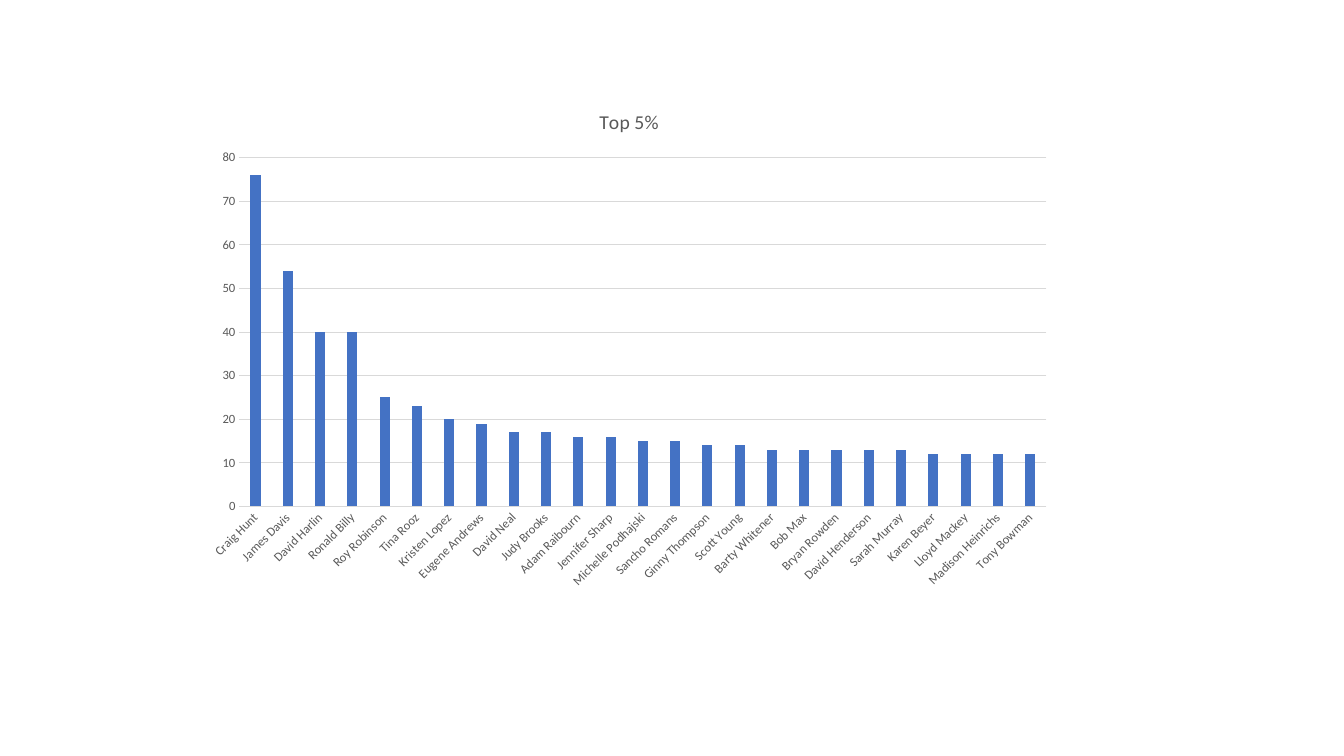
"""Build a slide with a column chart of the top 5% of people."""
from pptx import Presentation
from pptx.chart.data import CategoryChartData
from pptx.dml.color import RGBColor
from pptx.enum.chart import XL_CHART_TYPE, XL_TICK_MARK
from pptx.util import Inches, Pt

COLUMN = XL_CHART_TYPE.COLUMN_CLUSTERED
NO_TICK = XL_TICK_MARK.NONE
FONT = "Calibri"
COLORS = {"text": "595959", "line": "D9D9D9", "bar": "4472C4"}
SCORES = {
    "Craig Hunt": 76, "James Davis": 54, "David Harlin": 40, "Ronald Billy": 40,
    "Roy Robinson": 25, "Tina Rooz": 23, "Kristen Lopez": 20, "Eugene Andrews": 19,
    "David Neal": 17, "Judy Brooks": 17, "Adam Raibourn": 16, "Jennifer Sharp": 16,
    "Michelle Podhajski": 15, "Sancho Romans": 15, "Ginny Thompson": 14,
    "Scott Young": 14, "Barty Whitener": 13, "Bob Max": 13, "Bryan Rowden": 13,
    "David Henderson": 13, "Sarah Murray": 13, "Karen Beyer": 12,
    "Lloyd Mackey": 12, "Madison Heinrichs": 12, "Tony Bowman": 12,
}


def style_font(font, size):
    font.name = FONT
    font.size = Pt(size)
    font.bold = False
    font.color.rgb = RGBColor.from_string(COLORS["text"])


def style_line(line):
    line.color.rgb = RGBColor.from_string(COLORS["line"])
    line.width = Pt(0.75)


prs = Presentation()
prs.slide_width, prs.slide_height = Inches(13.33), Inches(7.5)
s = prs.slides.add_slide(prs.slide_layouts[6])

data = CategoryChartData()
data.categories = list(SCORES)
data.add_series("Series 1", list(SCORES.values()))
chart = s.shapes.add_chart(
    COLUMN, Inches(1.93), Inches(0.88), Inches(8.62), Inches(5.06), data).chart
chart.has_legend = False
style_font(chart.font, 10)

chart.has_title = True
p = chart.chart_title.text_frame.paragraphs[0]
p.text = "Top 5%"
style_font(p.font, 14)
chart.chart_title.include_in_layout = False

plot = chart.plots[0]
plot.gap_width = 219
plot.overlap = -27
plot.vary_by_categories = False
bars = plot.series[0].format.fill
bars.solid()
bars.fore_color.rgb = RGBColor.from_string(COLORS["bar"])

for axis in (chart.category_axis, chart.value_axis):
    axis.major_tick_mark = NO_TICK
    axis.minor_tick_mark = NO_TICK
    style_font(axis.tick_labels.font, 9)

names, values = chart.category_axis, chart.value_axis
style_line(names.format.line)
names.tick_labels.font._element.getparent().getparent().getparent().find(
    "{*}bodyPr").set("rot", "-2700000")
values.minimum_scale, values.maximum_scale, values.major_unit = 0, 80, 10
values.format.line.fill.background()
values.has_major_gridlines = True
style_line(values.major_gridlines.format.line)

prs.save("out.pptx")
